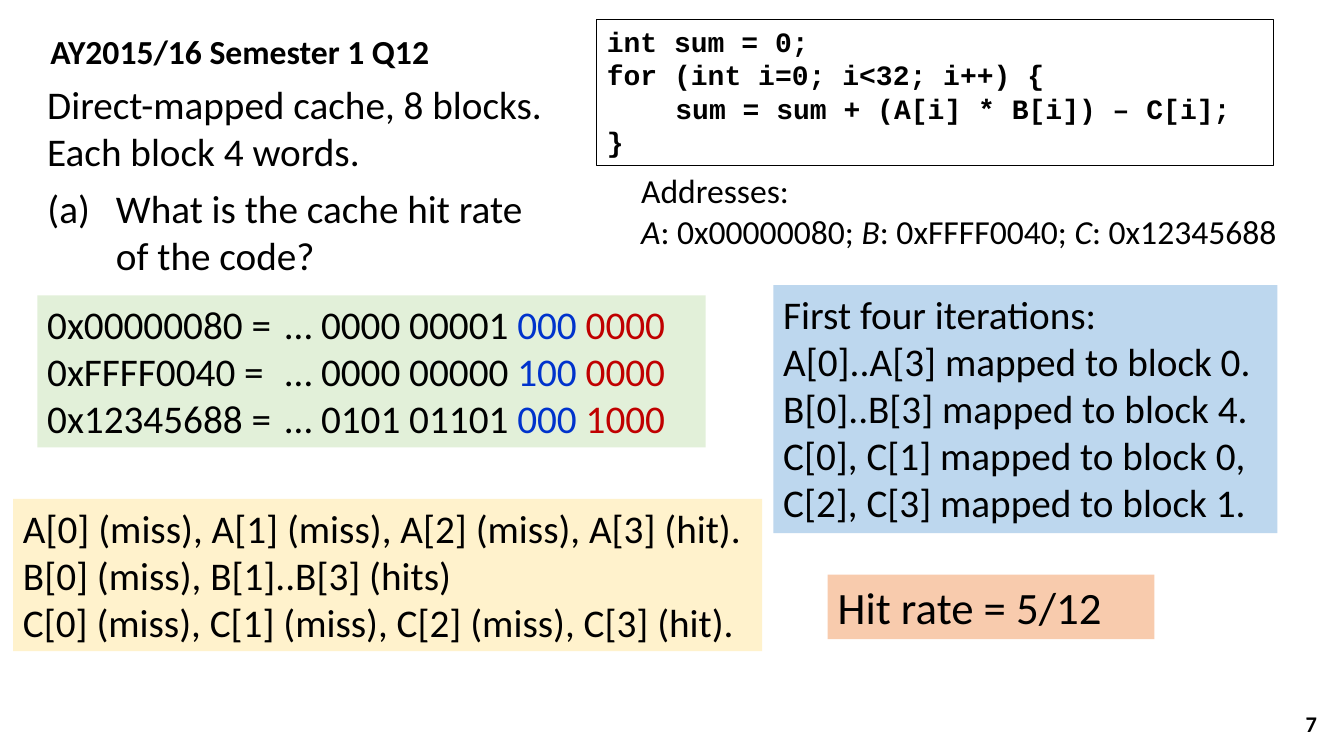
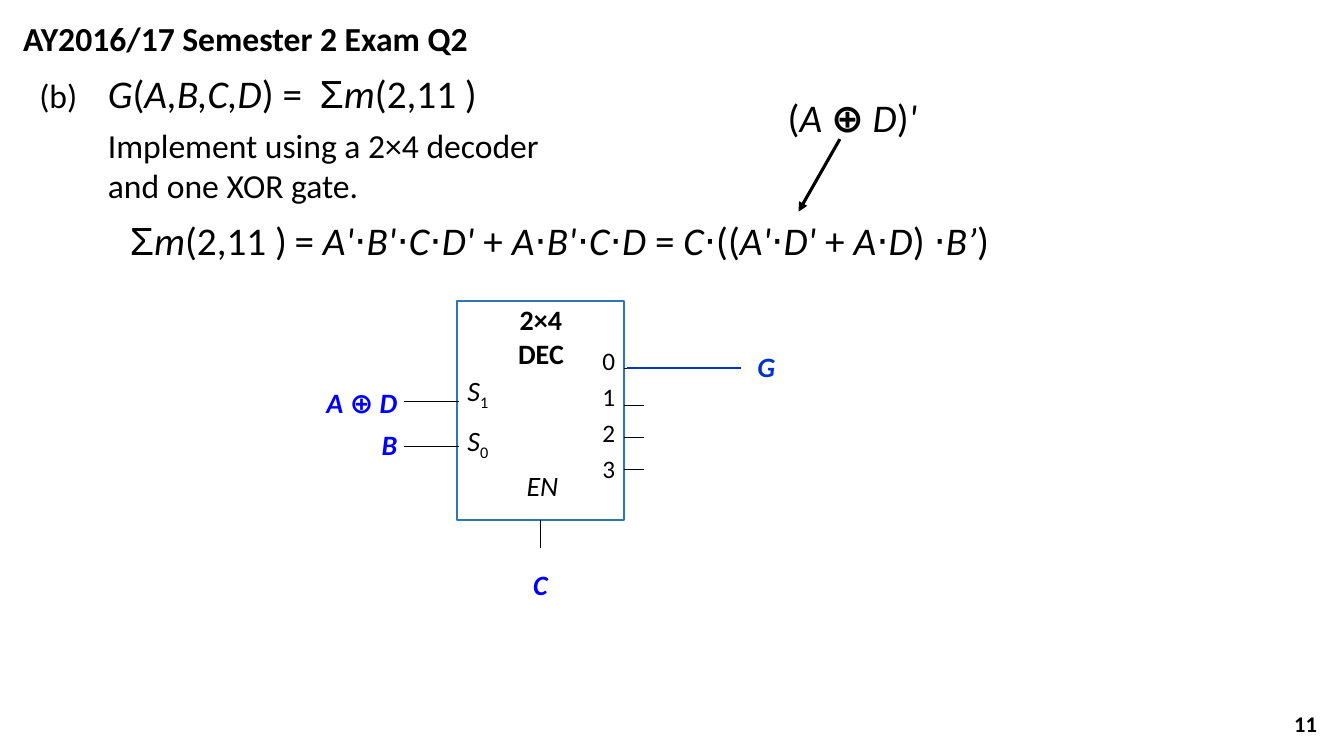
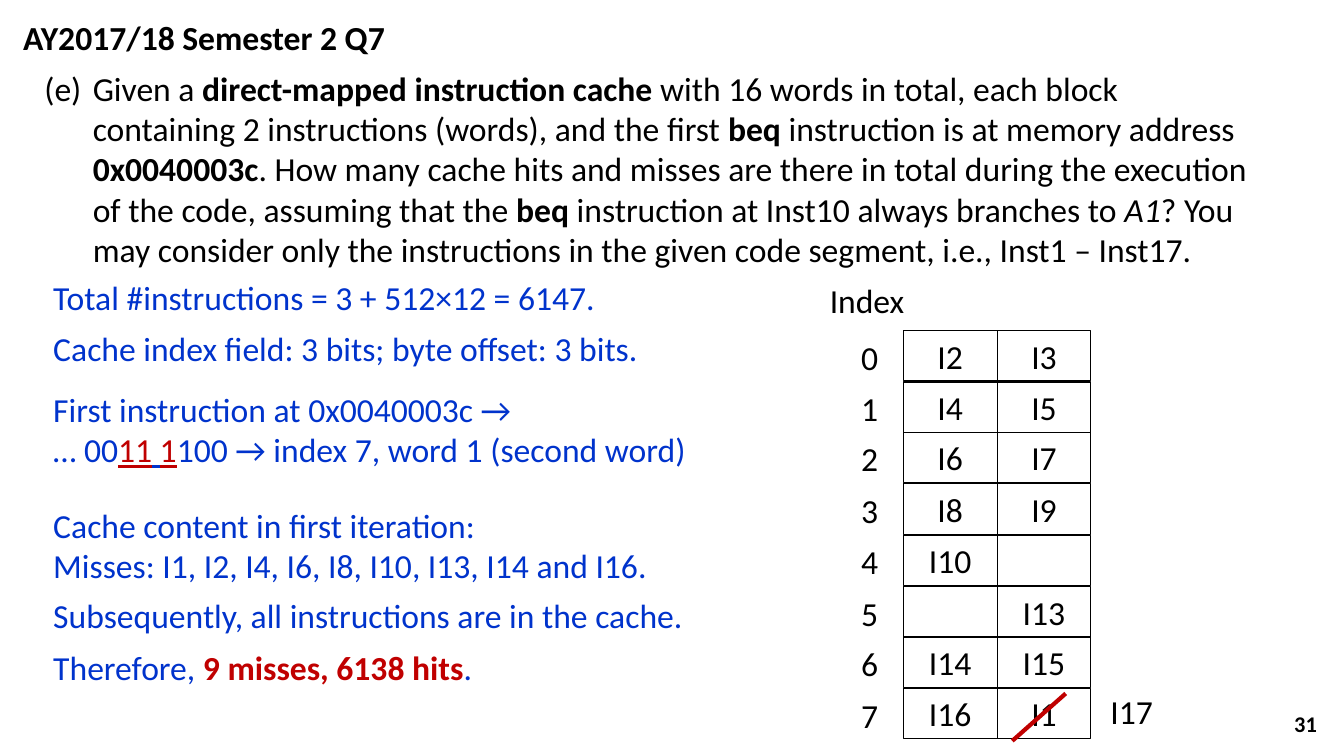
from dataclasses import dataclass
from typing import Optional, Sequence, Union

from lxml import etree
from pptx import Presentation
from pptx import util as u
from pptx.dml import color as dml
from pptx.enum import shapes, text
from pptx.oxml import ns

# Shared look
EMU_PER_PX = 9144
SLIDE_W, SLIDE_H = 1333, 750
FONT, CODE_FONT, SYMBOL_FONT = "Calibri", "Courier New", "Arial"
BLACK, WHITE, BLUE, RED = "000000", "FFFFFF", "0033CC", "C00000"
INPUT_BLUE, DEC_BLUE = "0000FF", "2E75B6"
GREEN_FILL, BLUE_FILL, YELLOW_FILL, ORANGE_FILL = "E2F0D9", "BDD7EE", "FFF2CC", "F8CBAD"
LEFT, CENTER, RIGHT = text.PP_ALIGN.LEFT, text.PP_ALIGN.CENTER, text.PP_ALIGN.RIGHT
HANG = 68
BINARY_TABS = (49, 236)


@dataclass(frozen=True)
class Run:
    text: str
    size: Optional[int] = None
    color: Optional[str] = None
    font: Optional[str] = None
    bold: Optional[bool] = None
    italic: bool = False
    underline: bool = False
    subscript: bool = False


@dataclass(frozen=True)
class Style:
    size: int = 24
    color: str = BLACK
    font: str = FONT
    bold: bool = False
    align: text.PP_ALIGN = LEFT
    hang: int = 0
    tabs: tuple[int, ...] = ()
    after: int = 0


@dataclass(frozen=True)
class Box:
    x: int
    y: int
    w: int
    h: int
    style: Style = Style()
    fill: Optional[str] = None
    line: Optional[str] = None
    line_pt: float = 0.75
    inset: Optional[int] = None
    anchor: text.MSO_ANCHOR = text.MSO_ANCHOR.TOP


Para = Union[str, Sequence[Run]]
TITLE = Style(bold=True)
QUESTION = Style(size=28, hang=HANG, tabs=(HANG,), after=6)
ANSWER = Style(color=BLUE)
WORKING = Style(size=28, tabs=BINARY_TABS)
CELL = Style(align=CENTER)


def px(n: int) -> u.Emu:
    return u.Emu(n * EMU_PER_PX)


def rgb(value: str) -> dml.RGBColor:
    return dml.RGBColor.from_string(value)


def marked(source: str, **emphasis) -> list[Run]:
    """Split on asterisks; every second part gets the emphasis."""
    return [Run(part, **(emphasis if i % 2 else {}))
            for i, part in enumerate(source.split("*")) if part]


def math(source: str) -> list[Run]:
    return marked(source, italic=True)


# Text
def write(tf, paras: Sequence[Para], style: Style) -> None:
    for i, para in enumerate(paras):
        p = tf.paragraphs[0] if i == 0 else tf.add_paragraph()
        pPr = p._p.get_or_add_pPr()
        if style.hang:
            pPr.set("marL", str(px(style.hang)))
            pPr.set("indent", str(-px(style.hang)))
            etree.SubElement(pPr, ns.qn("a:buNone"))
        if style.tabs:
            tab_list = etree.SubElement(pPr, ns.qn("a:tabLst"))
            for tab in style.tabs:
                etree.SubElement(tab_list, ns.qn("a:tab"), pos=str(px(tab)), algn="l")
        p.alignment = style.align
        p.space_before, p.space_after = u.Pt(0), u.Pt(style.after)
        for run in [Run(para)] if isinstance(para, str) else para:
            r = p.add_run()
            r.text = run.text
            r.font.name = run.font or style.font
            r.font.size = u.Pt(run.size or style.size)
            r.font.bold = style.bold if run.bold is None else run.bold
            r.font.italic = run.italic
            r.font.underline = run.underline
            r.font.color.rgb = rgb(run.color or style.color)
            if run.subscript:
                r._r.get_or_add_rPr().set("baseline", "-25000")


def fill_frame(sp, box: Box, paras: Sequence[Para]) -> None:
    tf = sp.text_frame
    tf.word_wrap = True
    tf.auto_size = text.MSO_AUTO_SIZE.NONE
    tf.vertical_anchor = box.anchor
    if box.inset is not None:
        tf.margin_left = tf.margin_right = tf.margin_top = tf.margin_bottom = px(box.inset)
    write(tf, paras, box.style)


# Objects
def add_box(s, box: Box, *paras: Para):
    place = [px(n) for n in (box.x, box.y, box.w, box.h)]
    if box.fill or box.line:
        sp = s.shapes.add_shape(shapes.MSO_SHAPE.RECTANGLE, *place)
        sp.shadow.inherit = False
        if box.fill:
            sp.fill.solid()
            sp.fill.fore_color.rgb = rgb(box.fill)
        else:
            sp.fill.background()
        if box.line:
            sp.line.color.rgb = rgb(box.line)
            sp.line.width = u.Pt(box.line_pt)
        else:
            sp.line.fill.background()
    else:
        sp = s.shapes.add_textbox(*place)
    fill_frame(sp, box, paras)
    return sp


def fill_placeholder(sp, box: Box, *paras: Para) -> None:
    sp.left, sp.top, sp.width, sp.height = (px(n) for n in (box.x, box.y, box.w, box.h))
    fill_frame(sp, box, paras)


def add_line(s, x1: int, y1: int, x2: int, y2: int, color: str = BLACK,
             weight: float = 0.75, arrow: bool = False):
    c = s.shapes.add_connector(shapes.MSO_CONNECTOR.STRAIGHT, px(x1), px(y1), px(x2), px(y2))
    c.line.color.rgb = rgb(color)
    c.line.width = u.Pt(weight)
    if arrow:
        etree.SubElement(c.line._get_or_add_ln(), ns.qn("a:tailEnd"), type="triangle")
    etree.SubElement(c._element.spPr, ns.qn("a:effectLst"))
    return c


def new_slide(prs, number: int, title_box: Box, title: str, question_box: Box, *question: Para):
    s = prs.slides.add_slide(prs.slide_layouts[1])
    fill_placeholder(s.shapes.title, title_box, title)
    fill_placeholder(s.placeholders[1], question_box, *question)
    add_box(s, Box(1016, 698, 300, 40, Style(size=16, bold=True, align=RIGHT),
                   anchor=text.MSO_ANCHOR.MIDDLE), str(number))
    return s


# Slide: hit rate of a direct-mapped cache
def hit_rate_slide(prs) -> None:
    s = new_slide(prs, 7, Box(40, 26, 427, 50, TITLE), "AY2015/16 Semester 1 Q12",
                  Box(37, 178, 502, 104, QUESTION),
                  "(a) \tWhat is the cache hit rate of the code?")
    add_box(s, Box(37, 75, 551, 104, Style(size=28, after=6)),
            "Direct-mapped cache, 8 blocks. Each block 4 words.")
    code = Style(size=20, font=CODE_FONT, bold=True, hang=HANG, tabs=(HANG,))
    add_box(s, Box(592, 19, 671, 145, code, line=BLACK),
            "int sum = 0;",
            "for (int i=0; i<32; i++) {",
            "\tsum = sum + (A[i] * B[i]) – C[i];",
            "}")
    add_box(s, Box(626, 164, 685, 91, Style(hang=HANG, tabs=(HANG,))), "Addresses:",
            math("*A*: 0x00000080; *B*: 0xFFFF0040; *C*: 0x12345688"))
    addresses = (
        ("0x00000080 =\t… 0000 00001 ", "000 ", "0000"),
        ("0xFFFF0040 =\t… 0000 00000 ", "100 ", "0000"),
        ("0x12345688 =\t… 0101 01101 ", "000 ", "1000"),
    )
    add_box(s, Box(37, 293, 663, 151, WORKING, fill=GREEN_FILL),
            *([Run(tag), Run(index, color=BLUE), Run(offset, color=RED)]
              for tag, index, offset in addresses))
    add_box(s, Box(767, 283, 500, 246, WORKING, fill=BLUE_FILL),
            "First four iterations:",
            "A[0]..A[3] mapped to block 0.",
            "B[0]..B[3] mapped to block 4.",
            "C[0], C[1] mapped to block 0,",
            "C[2], C[3] mapped to block 1.")
    add_box(s, Box(13, 495, 743, 151, WORKING, fill=YELLOW_FILL),
            "A[0] (miss), A[1] (miss), A[2] (miss), A[3] (hit).",
            "B[0] (miss), B[1]..B[3] (hits)",
            "C[0] (miss), C[1] (miss), C[2] (miss), C[3] (hit).")
    add_box(s, Box(821, 570, 324, 64, Style(size=32), fill=ORANGE_FILL), "Hit rate = 5/12")


# Slide: function built from a decoder
def decoder_slide(prs) -> None:
    sigma = Run("Σ", font=SYMBOL_FONT)
    s = new_slide(prs, 11, Box(13, 13, 698, 50, TITLE), "AY2016/17 Semester 2 Exam Q2",
                  Box(29, 64, 567, 146, QUESTION),
                  [Run("(b)\t", size=24), *math("*G*(*A,B,C,D*) =  "), sigma, *math("*m*(2,11 )")],
                  [Run("\tImplement using a 2×4 decoder and one XOR gate.", size=24)])
    add_box(s, Box(119, 210, 1047, 57, QUESTION),
            [sigma, *math("*m*(2,11 )"), Run(" ", size=24),
             *math("= *A'*⋅*B'*⋅*C*⋅*D'* + *A*⋅*B'*⋅*C*⋅*D *= "
                   "*C*⋅((*A'*⋅*D'* + *A*⋅*D*) ⋅*B’*)")])
    add_line(s, 833, 138, 792, 210, weight=2.25, arrow=True)
    add_box(s, Box(754, 88, 183, 57, Style(size=28, align=CENTER)),
            [*math("(*A *"), Run("⊕ ", bold=True), *math("*D*)*'*")])

    # Decoder block and its pins
    dec = add_box(s, Box(453, 299, 166, 217, fill=WHITE, line=DEC_BLUE, line_pt=1.5))
    for y in (365, 402, 434, 466):
        add_line(s, 619, y, 639, y, weight=0.5)
    for y in (398, 443):
        add_line(s, 401, y, 455, y)
    enable = add_line(s, 536, 516, 536, 544, weight=0.5)
    enable.begin_connect(dec, 2)
    add_line(s, 622, 365, 735, 365, BLUE, 1.5)

    # Labels inside the block
    add_box(s, Box(559, 342, 52, 157, Style(size=18, align=RIGHT, after=4), inset=1), *"0123")
    add_box(s, Box(489, 299, 95, 79, Style(size=20, bold=True, align=CENTER), inset=1),
            "2×4", "DEC")
    add_box(s, Box(443, 370, 62, 107, Style(size=20, align=CENTER, after=8), inset=1),
            *([Run("S", italic=True), Run(n, subscript=True)] for n in "10"))
    add_box(s, Box(499, 460, 78, 60, Style(size=20, align=CENTER)), math("*EN*"))

    # Signals outside the block
    add_box(s, Box(267, 378, 137, 127,
                   Style(size=20, color=INPUT_BLUE, bold=True, align=RIGHT, after=6)),
            math("*A *⊕ *D*"), math("*B*"))
    for x, y, name, color in ((497, 558, "C", INPUT_BLUE), (721, 342, "G", BLUE)):
        add_box(s, Box(x, y, 78, 44, Style(size=20, color=color, bold=True, align=CENTER)),
                [Run(name, italic=True)])


# Slide: hits and misses of an instruction cache
def instruction_cache_slide(prs) -> None:
    s = new_slide(
        prs, 31, Box(13, 12, 408, 50, TITLE), "AY2017/18 Semester 2 Q7",
        Box(34, 62, 1216, 212, Style(hang=48, after=6)),
        marked("(e) \tGiven a *direct-mapped instruction cache *with 16 words in total, each block "
               "containing 2 instructions (words), and the first *beq* instruction is at memory "
               "address *0x0040003c*. How many cache hits and misses are there in total during the "
               "execution of the code, assuming that the *beq* instruction at Inst10 always "
               "branches to ", bold=True)
        + math("*A1*? You may consider only the instructions in the given code segment, "
               "i.e., Inst1 – Inst17."))
    answers = (
        (270, 50, ["Total #instructions = 3 + 512×12 = 6147."]),
        (320, 50, ["Cache index field: 3 bits; byte offset: 3 bits."]),
        (381, 91, ["First instruction at 0x0040003c →",
                   [Run("… 00"), Run("11", color=RED, underline=True), Run(" ", underline=True),
                    Run("1", color=RED, underline=True),
                    Run("100 → index 7, word 1 (second word)")]]),
        (496, 91, ["Cache content in first iteration:",
                   "Misses: I1, I2, I4, I6, I8, I10, I13, I14 and I16."]),
        (585, 50, ["Subsequently, all instructions are in the cache."]),
        (637, 50, [marked("Therefore, *9 misses, 6138 hits*.", color=RED, bold=True)]),
    )
    for y, h, paras in answers:
        add_box(s, Box(43, y, 624 if y < 381 else 720, h, ANSWER), *paras)

    # Cache diagram: an index and two words for each block
    add_box(s, Box(800, 273, 120, 50, CELL), "Index")
    blocks = (("I2", "I3"), ("I4", "I5"), ("I6", "I7"), ("I8", "I9"),
              ("I10", ""), ("", "I13"), ("I14", "I15"), ("I16", "I1"))
    first_y, last_y, word_w, word_h = 328, 683, 93, 50
    for i, block in enumerate(blocks):
        y = first_y + round(i * (last_y - first_y) / (len(blocks) - 1))
        add_box(s, Box(828, y + 1, 69, word_h, CELL), str(i))
        for j, word in enumerate(block):
            add_box(s, Box(896 + j * word_w, y, word_w, word_h, CELL, line=BLACK),
                    *([word] if word else []))
    add_box(s, Box(1069, 681, 107, 50, CELL), "I17")
    add_line(s, 1004, 735, 1057, 688, RED, 3)


def main() -> None:
    prs = Presentation()
    prs.slide_width, prs.slide_height = px(SLIDE_W), px(SLIDE_H)
    hit_rate_slide(prs)
    decoder_slide(prs)
    instruction_cache_slide(prs)
    prs.save("out.pptx")


if __name__ == "__main__":
    main()
